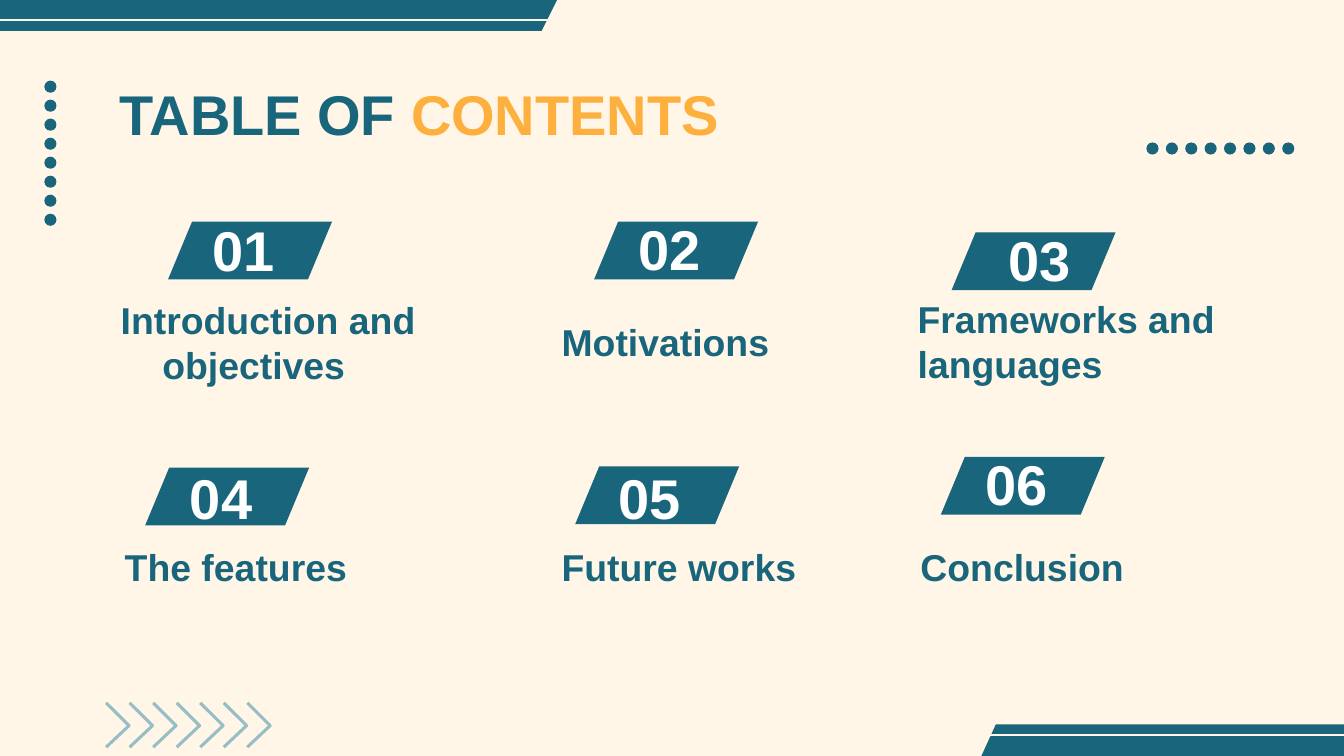
from dataclasses import dataclass

from lxml import etree
from pptx import Presentation
from pptx import util as u
from pptx.dml.color import RGBColor
from pptx.enum import shapes, text
from pptx.oxml import ns


@dataclass(frozen=True)
class Theme:
    paper: RGBColor = RGBColor.from_string("FFF6E7")
    teal: RGBColor = RGBColor.from_string("19657C")
    mist: RGBColor = RGBColor.from_string("97BDC6")
    amber: RGBColor = RGBColor.from_string("FDB03E")
    white: RGBColor = RGBColor.from_string("FFFFFF")
    font: str = "Arial"
    large: u.Pt = u.Pt(30)
    label: u.Pt = u.Pt(20)


theme = Theme()
Inches = u.Inches

deck = Presentation()
deck.slide_width = Inches(10)
deck.slide_height = deck.slide_width * 9 // 16
page = deck.slides.add_slide(deck.slide_layouts[5])
page.background.fill.solid()
page.background.fill.fore_color.rgb = theme.paper


def paint(shape):
    shape.shadow.inherit = False
    shape.fill.solid()
    shape.fill.fore_color.rgb = theme.teal
    shape.line.fill.background()


def write(box, runs, size, anchor, align=text.PP_ALIGN.LEFT):
    """Fill the box's one paragraph with (wording, colour) runs; a newline is a line break."""
    frame = box.text_frame
    frame.word_wrap = True
    frame.auto_size = text.MSO_AUTO_SIZE.NONE
    frame.vertical_anchor = anchor
    frame.margin_left = frame.margin_right = Inches(0.1)
    frame.margin_top = frame.margin_bottom = Inches(0.1)
    para = frame.paragraphs[0]
    para.alignment = align
    for wording, colour in runs:
        for index, line in enumerate(wording.split("\n")):
            if index:
                para.add_line_break()
            span = para.add_run()
            span.text = line
            span.font.name, span.font.size, span.font.bold = theme.font, size, True
            span.font.color.rgb = colour
    return para


# Corner bars, each crossed by a thin rule
bars = [
    ([(0, -0.01), (0, 0.23), (4.03, 0.23), (4.15, -0.01)], (0, 4.24, 0.15)),
    ([(7.41, 5.39), (7.3, 5.63), (10, 5.63), (10, 5.39)], (7.2, 10, 5.47)),
]
for corners, (start, end, height) in bars:
    points = [(Inches(x), Inches(y)) for x, y in corners]
    builder = page.shapes.build_freeform(*points[0])
    builder.add_line_segments(points[1:])
    paint(builder.convert_to_shape())
    rule = page.shapes.add_connector(
        shapes.MSO_CONNECTOR.STRAIGHT,
        Inches(start), Inches(height), Inches(end), Inches(height))
    rule.line.color.rgb = theme.paper
    rule.line.width = u.Pt(0.75)
    etree.SubElement(rule._element.spPr, ns.qn("a:effectLst"))

# Dotted lines: one across, one down
dots = [(8.53 + 1.01 * i / 7, 1.06) for i in range(8)]
dots += [(0.33, 0.6 + 0.99 * i / 7) for i in range(8)]
for x, y in dots:
    paint(page.shapes.add_shape(
        shapes.MSO_SHAPE.OVAL, Inches(x), Inches(y), Inches(0.09), Inches(0.09)))

# Row of chevrons
for i in range(7):
    left = 0.79 + 1.05 * i / 6
    builder = page.shapes.build_freeform(Inches(left), Inches(5.23))
    builder.add_line_segments(
        [(Inches(left + 0.17), Inches(5.4)), (Inches(left), Inches(5.56))], close=False)
    chevron = builder.convert_to_shape()
    chevron.shadow.inherit = False
    chevron.fill.background()
    chevron.line.color.rgb = theme.mist
    chevron.line.width = u.Pt(1.64)

title = page.shapes.title
title.left, title.top = Inches(0.79), Inches(0.49)
title.width, title.height = Inches(8.43), Inches(0.63)
write(title, [("TABLE OF ", theme.teal), ("CONTENTS", theme.amber)],
      theme.large, text.MSO_ANCHOR.TOP)

# Slab position, number position, label and its box, indent of the label's second line
entries = [
    ((1.25, 1.65), (1.25, 1.66), "Introduction and\nobjectives", (0.8, 2.23, 3.44, 0.75), 0.31),
    ((4.42, 1.65), (4.42, 1.65), "Motivations", (4.08, 2.23, 2.51, 0.58), 0),
    ((7.08, 1.73), (7.17, 1.73), "Frameworks and\nlanguages", (6.73, 2.23, 2.94, 0.74), 0),
    ((1.08, 3.48), (1.08, 3.5), "The features", (0.83, 3.81, 2.74, 0.67), 0),
    ((4.28, 3.47), (4.27, 3.5), "Future works", (4.08, 3.81, 2.74, 0.67), 0),
    ((7, 3.4), (7, 3.4), "Conclusion", (6.75, 3.9, 2.59, 0.58), 0),
]
for number, (slab_at, number_at, label, label_box, indent) in enumerate(entries, 1):
    slab = page.shapes.add_shape(
        shapes.MSO_SHAPE.PARALLELOGRAM, *map(Inches, slab_at), Inches(1.22), Inches(0.43))
    slab.adjustments[0] = 0.416
    paint(slab)

    box = page.shapes.add_textbox(*map(Inches, number_at), Inches(1.13), Inches(0.39))
    write(box, [(f"{number:02}", theme.white)], theme.large,
          text.MSO_ANCHOR.MIDDLE, text.PP_ALIGN.CENTER)

    box = page.shapes.add_textbox(*map(Inches, label_box))
    para = write(box, [(label, theme.teal)], theme.label, text.MSO_ANCHOR.BOTTOM)
    if indent:
        properties = para._p.get_or_add_pPr()
        properties.set("marL", str(Inches(indent)))
        properties.set("indent", str(-Inches(indent)))

deck.save("out.pptx")
